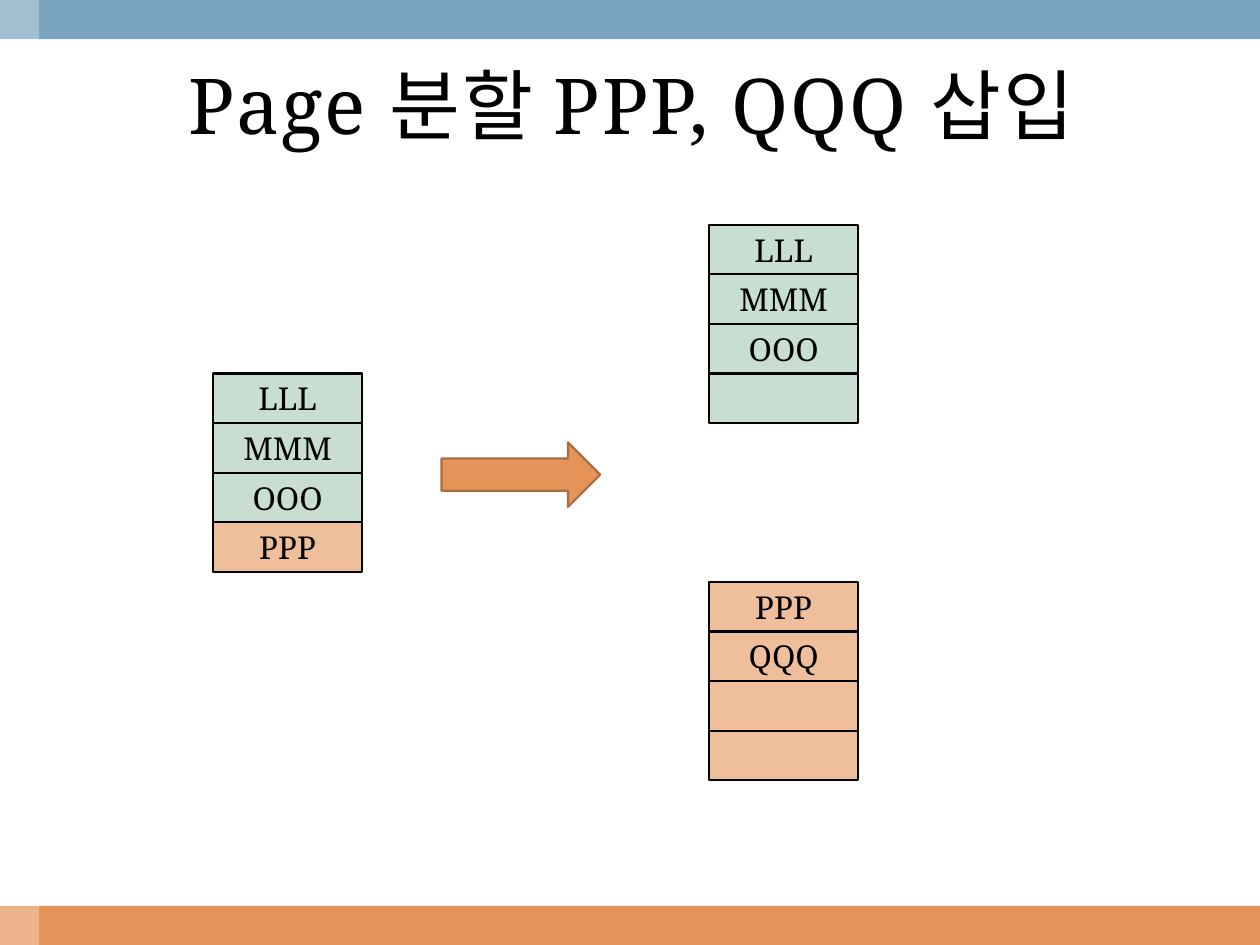
from pptx import Presentation
from pptx.dml.color import RGBColor
from pptx.enum.shapes import MSO_SHAPE
from pptx.enum.text import MSO_ANCHOR, PP_ALIGN
from pptx.util import Cm, Pt
from lxml import etree

RECT, ARROW = MSO_SHAPE.RECTANGLE, MSO_SHAPE.RIGHT_ARROW
MIDDLE, CENTER = MSO_ANCHOR.MIDDLE, PP_ALIGN.CENTER
A = "{http://schemas.openxmlformats.org/drawingml/2006/main}"
THEME = {
    "font": "Noto Serif", "title": 44, "body": 18, "line": 1.25,
    "ink": "000000", "white": "FFFFFF", "blue": "7BA5BE", "orange": "E49458",
    "green": "C7DED1", "peach": "EFBF9B", "brown": "A96D41",
}


def add_block(shapes, kind, x, y, w, h, fill, line=None):
    sp = shapes.add_shape(kind, Cm(x), Cm(y), Cm(w), Cm(h))
    sp.shadow.inherit = False
    sp.fill.solid()
    sp.fill.fore_color.rgb = RGBColor.from_string(THEME[fill])
    if line:
        sp.line.color.rgb = RGBColor.from_string(THEME[line])
        sp.line.width = Pt(THEME["line"])
    else:
        sp.line.fill.background()
    return sp


def add_text(sp, text, size):
    tf = sp.text_frame
    tf.word_wrap = True
    tf.vertical_anchor = MIDDLE
    p = tf.paragraphs[0]
    p.alignment = CENTER
    r = p.add_run()
    r.text = text
    r.font.name = THEME["font"]
    r.font.size = Pt(THEME[size])
    r.font.color.rgb = RGBColor.from_string(THEME["ink"])
    return r


prs = Presentation()
prs.slide_width, prs.slide_height = Cm(25.4), Cm(19.05)
s = prs.slides.add_slide(prs.slide_layouts[6])

BAR = 0.79
add_block(s.shapes, RECT, 0, 19.05 - BAR, 25.4, BAR, "orange")
add_block(s.shapes, RECT, 0, 0, 25.4, BAR, "blue")
side = add_block(s.shapes, RECT, 0, 0, BAR, 19.05, "white")
color = side.fill._xPr.find(f"{A}solidFill/{A}srgbClr")
etree.SubElement(color, f"{A}alpha").set("val", "30000")

title = s.shapes.add_textbox(Cm(0.84), Cm(0.79), Cm(23.77), Cm(2.62))
r = add_text(title, "Page 분할 PPP, QQQ 삽입", "title")
r.font._element.set("spc", "100")

CELL_W, CELL_H = 3, 1
pages = [
    (4.3, 7.53, ["LLL", "MMM", "OOO", "PPP"], ["green"] * 3 + ["peach"]),
    (14.3, 4.53, ["LLL", "MMM", "OOO", ""], ["green"] * 4),
    (14.3, 11.73, ["PPP", "QQQ", "", ""], ["peach"] * 4),
]
for x, y, records, fills in pages:
    page = s.shapes.add_group_shape()
    for i, (record, fill) in enumerate(zip(records, fills)):
        cell = add_block(page.shapes, RECT, x, y + i * CELL_H, CELL_W, CELL_H, fill, "ink")
        if record:
            add_text(cell, record, "body")

add_block(s.shapes, ARROW, 8.9, 8.92, 3.2, 1.3, "orange", "brown")

prs.save("out.pptx")
